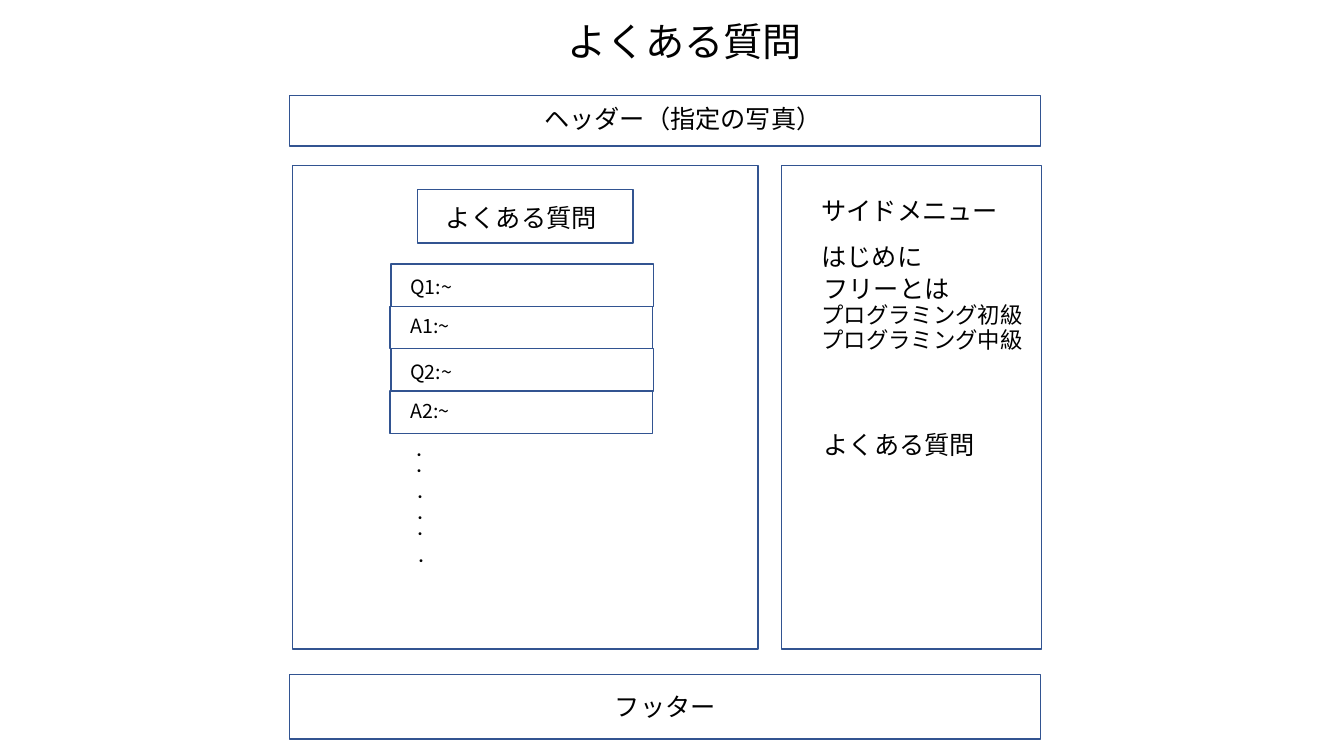
"""Build the wireframe slide of a frequently asked questions page."""
from dataclasses import dataclass
from typing import Final

from lxml import etree
from pptx import Presentation
from pptx.dml.color import RGBColor
from pptx.enum.shapes import MSO_SHAPE
from pptx.enum.text import MSO_AUTO_SIZE, PP_ALIGN
from pptx.oxml.ns import qn
from pptx.slide import Slide
from pptx.util import Inches, Pt

RECTANGLE: Final = MSO_SHAPE.RECTANGLE
FIT_SHAPE: Final = MSO_AUTO_SIZE.SHAPE_TO_FIT_TEXT
LEFT: Final = PP_ALIGN.LEFT
CENTER: Final = PP_ALIGN.CENTER


@dataclass(frozen=True)
class Theme:
    """Colours, font and type sizes."""

    ink: RGBColor = RGBColor(0x00, 0x00, 0x00)
    outline: RGBColor = RGBColor(0x32, 0x54, 0x91)
    font: str = "Noto Sans CJK JP"
    title: int = 28
    body: int = 18
    submenu: int = 16
    question: int = 14
    dot: int = 10
    outline_width: int = 1


@dataclass(frozen=True)
class Frame:
    """An outlined rectangle, in inches."""

    left: float
    top: float
    width: float
    height: float


@dataclass(frozen=True)
class Label:
    """A line of text with its place in inches and its size in points."""

    text: str
    left: float
    top: float
    width: float
    height: float
    size: int
    align: PP_ALIGN = LEFT


THEME: Final = Theme()

PAGE_FRAMES: Final = [
    Frame(7.75, 1.64, 2.58, 4.8),
    Frame(2.9, 1.64, 4.62, 4.8),
    Frame(2.87, 6.69, 7.45, 0.64),
    Frame(4.14, 1.88, 2.14, 0.53),
    Frame(2.87, 0.95, 7.45, 0.5),
]
PAGE_LABELS: Final = [
    Label("よくある質問", 5.51, 0.12, 2.56, 0.57, THEME.title, CENTER),
    Label("ヘッダー（指定の写真）", 5.3, 0.98, 2.98, 0.4, THEME.body),
    Label("よくある質問", 4.32, 1.96, 1.72, 0.4, THEME.body),
    Label("フッター", 6, 6.81, 1.21, 0.4, THEME.body),
    Label("サイドメニュー", 8.05, 1.89, 1.97, 0.4, THEME.body),
    Label("はじめに", 8.05, 2.34, 1.21, 0.4, THEME.body),
    Label("フリーとは", 8.07, 2.66, 1.46, 0.4, THEME.body),
    Label("プログラミング初級", 8.05, 2.94, 2.22, 0.37, THEME.submenu),
    Label("プログラミング中級", 8.05, 3.19, 2.22, 0.37, THEME.submenu),
    Label("よくある質問", 8.07, 4.21, 1.72, 0.4, THEME.body),
]
ROW_TOP: Final = 2.62
ROW_HEIGHT: Final = 0.42
ROW_WIDTH: Final = 2.6
ROW_TEXTS: Final = ["Q1:~", "A1:~", "Q2:~", "A2:~"]
DOT_PLACES: Final = [
    (3.99, 4.38), (3.99, 4.54), (4, 4.8), (4, 5.01), (4, 5.16), (4.01, 5.43),
]


def add_frame(page: Slide, frame: Frame) -> None:
    """Draw an outlined rectangle without a fill."""
    box = page.shapes.add_shape(
        RECTANGLE, Inches(frame.left), Inches(frame.top),
        Inches(frame.width), Inches(frame.height),
    )
    box.shadow.inherit = False
    box.fill.background()
    box.line.color.rgb = THEME.outline
    box.line.width = Pt(THEME.outline_width)


def add_text(
    page: Slide, text: str, *, left: float, top: float, width: float,
    height: float, size: int, align: PP_ALIGN = LEFT,
) -> None:
    """Write one unwrapped line of text."""
    box = page.shapes.add_textbox(
        Inches(left), Inches(top), Inches(width), Inches(height)
    )
    box.text_frame.word_wrap = False
    box.text_frame.auto_size = FIT_SHAPE
    para = box.text_frame.paragraphs[0]
    para.alignment = align
    span = para.add_run()
    span.text = text
    span.font.size = Pt(size)
    span.font.color.rgb = THEME.ink
    span.font.name = THEME.font
    east_asian = etree.SubElement(span.font._element, qn("a:ea"))
    east_asian.set("typeface", THEME.font)


def add_label(page: Slide, label: Label) -> None:
    """Write a label at its place."""
    add_text(
        page, label.text, left=label.left, top=label.top, width=label.width,
        height=label.height, size=label.size, align=label.align,
    )


def add_questions(page: Slide) -> None:
    """Stack the question and answer rows."""
    for index, text in enumerate(ROW_TEXTS):
        is_question = text.startswith("Q")
        top = ROW_TOP + index * ROW_HEIGHT
        left = 3.88 if is_question else 3.87
        inset = 0.06 if is_question else 0.03
        add_frame(page, Frame(left, top, ROW_WIDTH, ROW_HEIGHT))
        add_text(
            page, text, left=3.97, top=top + inset, width=0.65, height=0.34,
            size=THEME.question,
        )


def main() -> None:
    """Build and save the deck."""
    deck = Presentation()
    deck.slide_width = Inches(13.33)
    deck.slide_height = Inches(7.5)
    page = deck.slides.add_slide(deck.slide_layouts[6])
    for frame in PAGE_FRAMES:
        add_frame(page, frame)
    for label in PAGE_LABELS:
        add_label(page, label)
    add_questions(page)
    for left, top in DOT_PLACES:
        add_text(
            page, "・", left=left, top=top, width=0.34, height=0.27, size=THEME.dot
        )
    deck.save("out.pptx")


if __name__ == "__main__":
    main()
